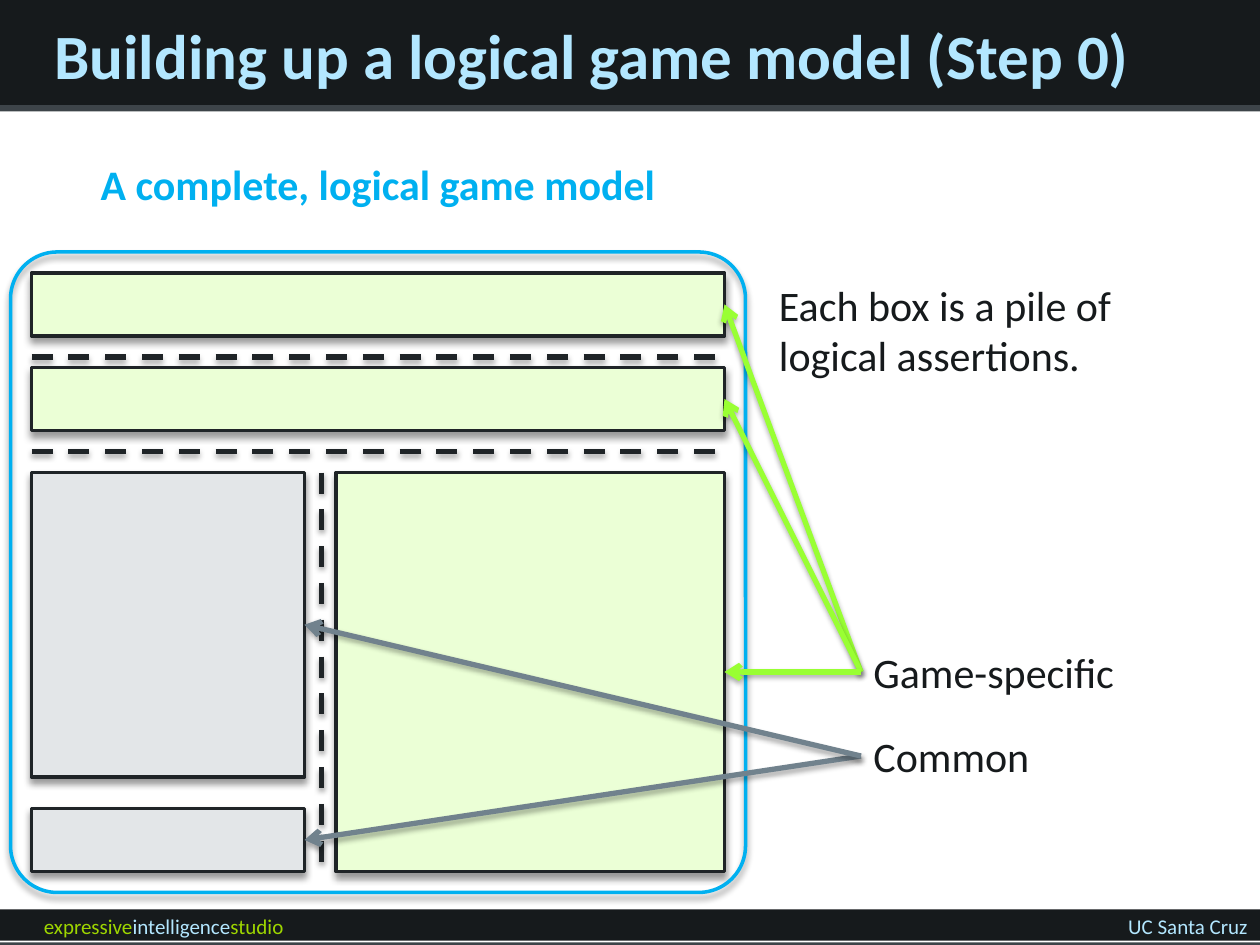
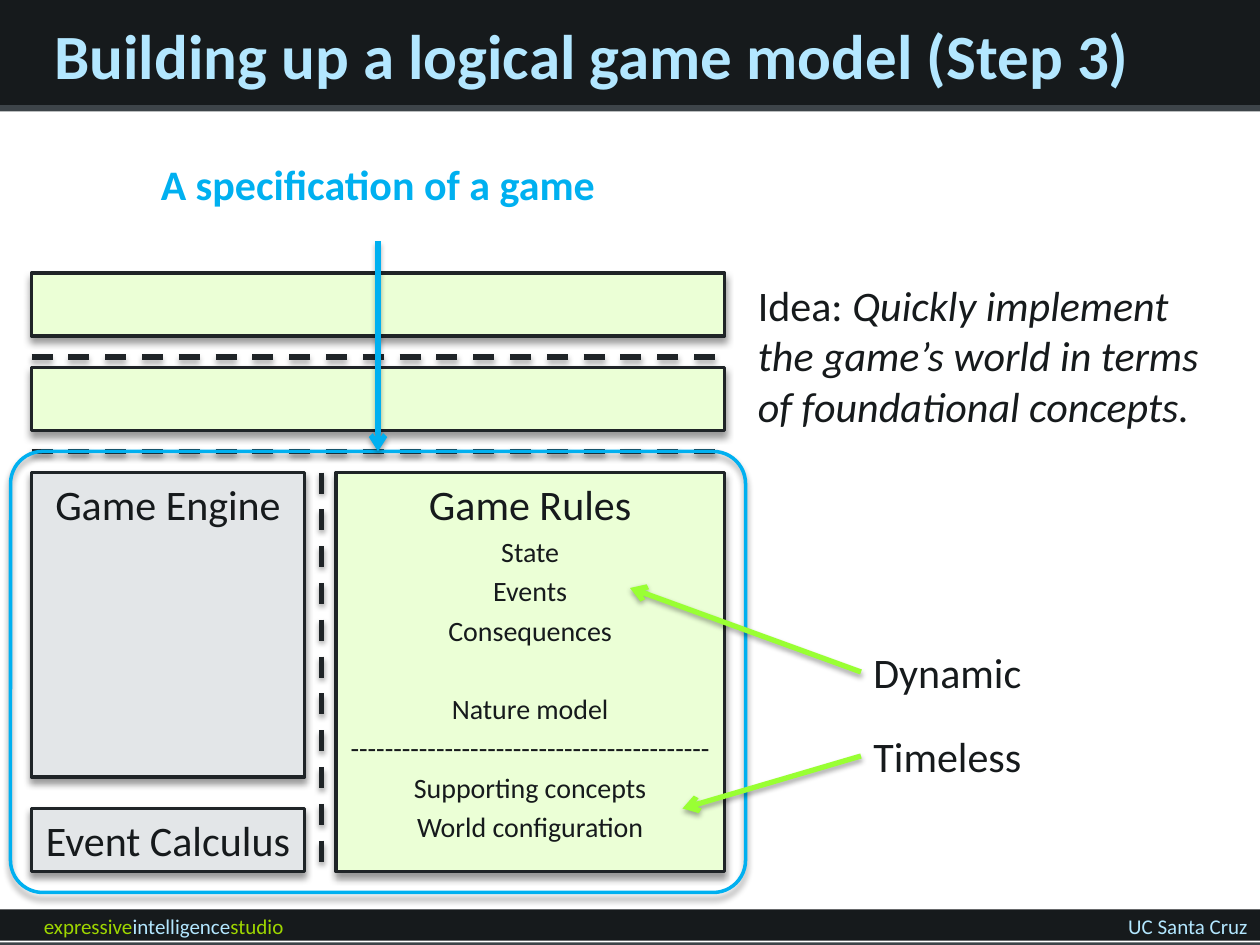
from lxml import etree
from pptx import Presentation
from pptx.dml.color import RGBColor
from pptx.enum.dml import MSO_LINE
from pptx.enum.shapes import MSO_CONNECTOR, MSO_SHAPE
from pptx.enum.text import MSO_ANCHOR, PP_ALIGN
from pptx.oxml.ns import qn
from pptx.util import Cm, Pt

RECT, ROUND = MSO_SHAPE.RECTANGLE, MSO_SHAPE.ROUNDED_RECTANGLE
STRAIGHT, DASH = MSO_CONNECTOR.STRAIGHT, MSO_LINE.DASH
LEFT, CENTER, RIGHT = PP_ALIGN.LEFT, PP_ALIGN.CENTER, PP_ALIGN.RIGHT
TOP, MIDDLE = MSO_ANCHOR.TOP, MSO_ANCHOR.MIDDLE

FONT = "Calibri"
COLORS = {
    "ink": "161A1C", "edge": "1F2427", "rule": "3D4449",
    "title": "B3E7FF", "lime": "9ED600", "accent": "00B0F0",
    "common": "E3E6E8", "specific": "EBFFD6",
    "gray_arrow": "71828D", "green_arrow": "99FF33", "shadow": "000000",
}

# All places are in grid units: the slide is 120 x 90
UNIT = 2.54 / 12

BANDS = [
    ("ink", (0, 0, 120, 10)), ("ink", (0, 86.6, 120, 3)),
    ("rule", (0, 10, 120, 0.6)), ("rule", (0, 89.75, 120, 0.6)),
]
STUDIO = [("expressive", {"color": "lime"}), ("intelligence", {}),
          ("studio", {"color": "lime"})]

# Model parts: name -> (fill, box)
MODEL = {
    "calculus": ("common", (3, 77, 26, 6)),
    "engine": ("common", (3, 45, 26, 29)),
    "rules": ("specific", (32, 45, 37, 38)),
    "lower": ("specific", (3, 35, 66, 6)),
    "upper": ("specific", (3, 26, 66, 6)),
}
DIVIDERS = [((30.6, 45), (30.6, 83)), ((3, 43), (69, 43)), ((3, 34), (69, 34))]
LABEL_X, LABEL_TOPS = 82, (61, 69)

SMALL = {"size": 16, "before": 3.2}
SLIDES = [
    {
        "title": "Building up a logical game model (Step 0)",
        "heading": "A complete, logical game model",
        "ring": (1, 24, 70, 61),
        "texts": {},
        "note": ((73, 26, 39, 11),
                 [("Each box is a pile of logical assertions.", {})]),
        # label, arrow colour, targets (part names or points)
        "labels": [
            ("Game-specific", "green_arrow", ["upper", "lower", "rules"]),
            ("Common", "gray_arrow", ["calculus", "engine"]),
        ],
    },
    {
        "title": "Building up a logical game model (Step 3)",
        "heading": "A specification of a game",
        "heading_arrow": ((36, 23), (36, 43)),
        "ring": (1, 43, 70, 42),
        "texts": {
            "calculus": [("Event Calculus", {})],
            "engine": [("Game Engine", {})],
            "rules": [
                ("Game Rules", {}),
                ("State", SMALL),
                ("Events", SMALL),
                ("Consequences", SMALL),
                ("Nature model", {"size": 16, "before": 25.8}),
                ("-" * 42, SMALL),
                ("Supporting concepts", SMALL),
                ("World configuration", SMALL),
            ],
        },
        "note": ((71, 26, 45, 16),
                 [([("Idea: ", {}),
                    ("Quickly implement the game’s world in terms of "
                     "foundational concepts.", {"italic": True})], {})]),
        "labels": [
            ("Dynamic", "green_arrow", [(60, 56)]),
            ("Timeless", "green_arrow", [(65, 77)]),
        ],
    },
]


def rgb(name):
    return RGBColor.from_string(COLORS[name])


def grid(values):
    return [Cm(v * UNIT) for v in values]


def write(sp, paragraphs, size=24, color="ink", bold=False, align=LEFT, anchor=TOP):
    """Fill a shape with (text or runs, format) paragraphs."""
    tf = sp.text_frame
    tf.word_wrap = True
    tf.vertical_anchor = anchor
    for i, (content, fmt) in enumerate(paragraphs):
        p = tf.add_paragraph() if i else tf.paragraphs[0]
        p.alignment = align
        if "before" in fmt:
            p.space_before = Pt(fmt["before"])
        runs = [(content, {})] if isinstance(content, str) else content
        for text, extra in runs:
            r = p.add_run()
            r.text = text
            r.font.name = FONT
            r.font.size = Pt(fmt.get("size", size))
            r.font.bold = bold
            r.font.italic = extra.get("italic", False)
            r.font.color.rgb = rgb(extra.get("color", color))


def add_text(s, box, content, **fmt):
    paragraphs = [(content, {})] if isinstance(content, str) else content
    write(s.shapes.add_textbox(*grid(box)), paragraphs, **fmt)


def add_shadow(effects, alpha, blur, dist):
    shadow = etree.SubElement(
        effects, qn("a:outerShdw"), blurRad=str(Pt(blur)), dist=str(Pt(dist)),
        dir="5400000", rotWithShape="0")
    color = etree.SubElement(shadow, qn("a:srgbClr"), val=COLORS["shadow"])
    etree.SubElement(color, qn("a:alpha"), val=str(alpha * 1000))


def add_box(s, kind, box, fill=None, line=None):
    sp = s.shapes.add_shape(kind, *grid(box))
    sp.shadow.inherit = False
    if fill:
        sp.fill.solid()
        sp.fill.fore_color.rgb = rgb(fill)
    else:
        sp.fill.background()
    if line:
        sp.line.color.rgb = rgb(line)
        sp.line.width = Pt(2)
        add_shadow(sp._element.spPr.find(qn("a:effectLst")), 40, 4, 3)
    else:
        sp.line.fill.background()
    return sp


def add_line(s, start, end, color, arrow=True):
    ln = s.shapes.add_connector(STRAIGHT, *grid(start + end))
    ln.line.color.rgb = rgb(color)
    ln.line.width = Pt(3)
    if arrow:
        etree.SubElement(ln.line._get_or_add_ln(), qn("a:tailEnd"), type="arrow")
    else:
        ln.line.dash_style = DASH
    effects = etree.SubElement(ln._element.spPr, qn("a:effectLst"))
    add_shadow(effects, 35, 3.1, 1.8)


def right_middle(part):
    x, y, w, h = MODEL[part][1]
    return (x + w, y + h / 2)


def add_frame(s, title):
    """Bands, footer and title."""
    for color, box in BANDS:
        add_box(s, RECT, box, fill=color)
    add_text(s, (3, 86.4, 47, 3.6), [(STUDIO, {})], size=12, color="title")
    add_text(s, (80, 86.4, 40, 3.6), "UC Santa Cruz", size=12, color="title",
             align=RIGHT)
    add_text(s, (4, 0, 108, 10.4), title, size=36, color="title", bold=True,
             anchor=MIDDLE)


def add_model(s, texts, ring):
    """Dividers, model parts and the ring around the current scope."""
    for start, end in DIVIDERS:
        add_line(s, start, end, "edge", arrow=False)
    for name, (fill, box) in MODEL.items():
        sp = add_box(s, RECT, box, fill, "edge")
        if name in texts:
            write(sp, texts[name], align=CENTER)
    add_box(s, ROUND, ring, line="accent").adjustments[0] = 0.073


def build_slide(prs, data):
    s = prs.slides.add_slide(prs.slide_layouts[6])
    add_frame(s, data["title"])
    add_model(s, data["texts"], data["ring"])

    # Heading and side note
    add_text(s, (3, 12, 66, 11), data["heading"], color="accent", bold=True,
             align=CENTER, anchor=MIDDLE)
    if "heading_arrow" in data:
        add_line(s, *data["heading_arrow"], "accent")
    add_text(s, *data["note"])

    # Labels with arrows into the model
    for top, (label, color, targets) in zip(LABEL_TOPS, data["labels"]):
        add_text(s, (LABEL_X, top, 26, 6), label)
        for target in targets:
            end = right_middle(target) if isinstance(target, str) else target
            add_line(s, (LABEL_X, top + 3), end, color)


def main():
    prs = Presentation()
    prs.slide_width, prs.slide_height = Cm(25.4), Cm(19.05)
    for data in SLIDES:
        build_slide(prs, data)
    prs.save("out.pptx")


if __name__ == "__main__":
    main()
